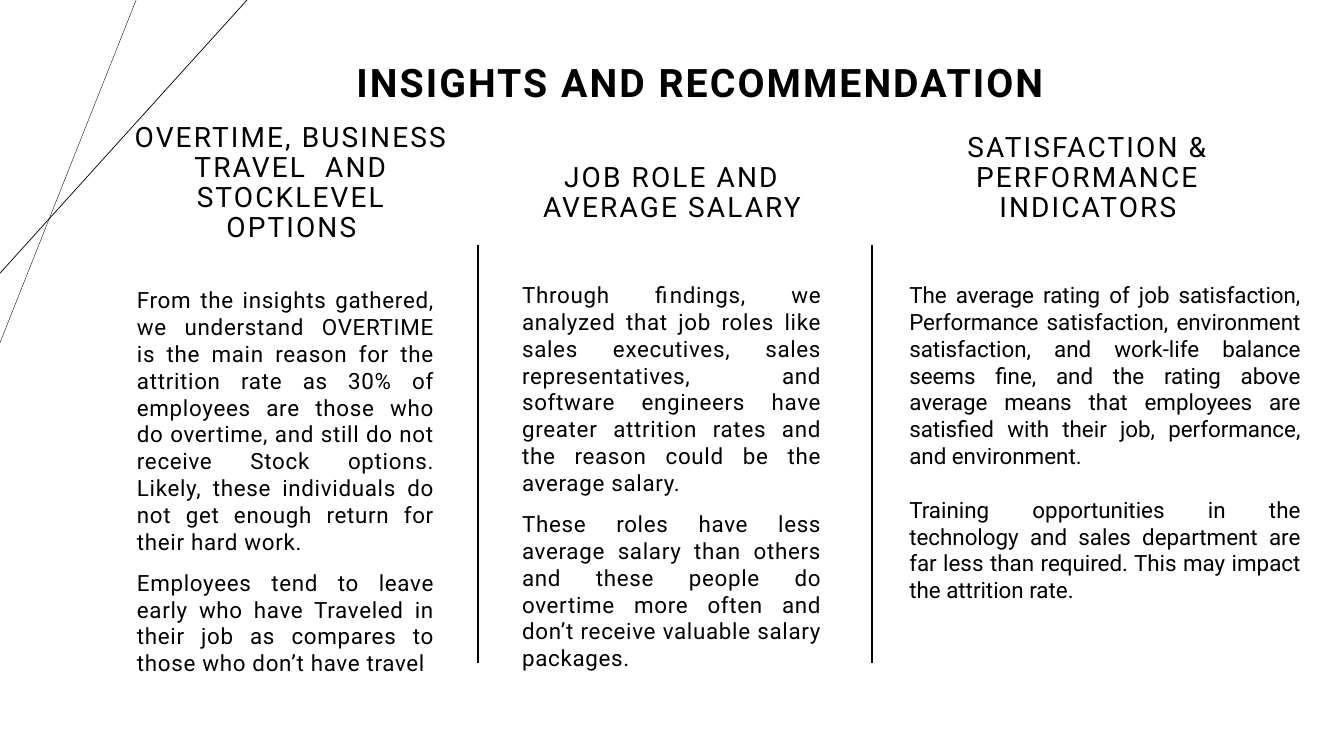
"""Build the insights and recommendation slide."""
from lxml import etree
from pptx import Presentation
from pptx.dml.color import RGBColor
from pptx.enum.shapes import MSO_CONNECTOR
from pptx.enum.text import MSO_ANCHOR, MSO_AUTO_SIZE, PP_ALIGN
from pptx.oxml.ns import qn
from pptx.util import Inches, Pt

BLACK = RGBColor(0, 0, 0)
WHITE = RGBColor(255, 255, 255)
FONT = "Roboto"
STRAIGHT = MSO_CONNECTOR.STRAIGHT
TOP, MIDDLE, BOTTOM = MSO_ANCHOR.TOP, MSO_ANCHOR.MIDDLE, MSO_ANCHOR.BOTTOM
CENTER, JUSTIFY = PP_ALIGN.CENTER, PP_ALIGN.JUSTIFY
NO_FIT = MSO_AUTO_SIZE.NONE

deck = Presentation()
deck.slide_width = Inches(13.33)
deck.slide_height = Inches(7.5)
slide = deck.slides.add_slide(deck.slide_layouts[5])
slide.background.fill.solid()
slide.background.fill.fore_color.rgb = WHITE


def write(box, place, texts, size, anchor, align, leading, gap, track, bold=False):
    box.left, box.top, box.width, box.height = [Inches(n) for n in place]
    frame = box.text_frame
    frame.word_wrap = True
    frame.auto_size = NO_FIT
    frame.vertical_anchor = anchor
    for i, text in enumerate(texts):
        para = frame.add_paragraph() if i else frame.paragraphs[0]
        para.alignment = align
        para.line_spacing = leading
        para.space_before = Pt(gap if i else 0)
        run = para.add_run()
        run.text = text
        run.font.name = FONT
        run.font.size = Pt(size)
        run.font.bold = bold
        run.font.color.rgb = BLACK
        run.font._element.set("spc", str(track))


def add_text():
    return slide.shapes.add_textbox(0, 0, 0, 0)


LINES = [
    (1.35, 0, 0, 3.4, 0.25),
    (2.45, 0, 0, 2.71, 0.5),
    (4.74, 2.43, 4.74, 6.58, 1.5),
    (8.65, 2.43, 8.65, 6.58, 1.5),
]
for *ends, weight in LINES:
    line = slide.shapes.add_connector(STRAIGHT, *[Inches(n) for n in ends])
    line.line.color.rgb = BLACK
    line.line.width = Pt(weight)
    etree.SubElement(line._element.spPr, qn("a:effectLst"))

write(slide.shapes.title, (2.34, 0.12, 9.21, 1.45), ["INSIGHTS AND RECOMMENDATION"],
      28, MIDDLE, CENTER, 0.9, 0, 150, True)

COLUMNS = [
    ("OVERTIME, BUSINESS TRAVEL  AND STOCKLEVEL OPTIONS", (1.2, 1.57, 3.38, 0.9),
     (1.26, 2.79, 3.15, 4.16), 10, 50, [
        "From the insights gathered, we understand OVERTIME is the main reason for "
        "the attrition rate as 30% of employees are those who do overtime, and still "
        "do not receive Stock options. Likely, these individuals do not get enough "
        "return for their hard work.",
        "Employees tend to leave early who have Traveled in their job as compares to "
        "those who don’t have travel"]),
    ("JOB ROLE AND AVERAGE SALARY", (5.08, 1.52, 3.17, 0.75),
     (5.08, 2.74, 3.17, 4.16), 10, 50, [
        "Through findings, we analyzed that job roles like sales executives, sales "
        "representatives, and software engineers have greater attrition rates and "
        "the reason could be the average salary.",
        "These roles have less average salary than others and these people do "
        "overtime more often and don’t receive valuable salary packages."]),
    ("SATISFACTION & PERFORMANCE INDICATORS", (8.75, 1.52, 4.08, 0.75),
     (8.92, 2.74, 4.08, 3.33), 19, 0, [
        "The average rating of job satisfaction, Performance satisfaction, "
        "environment satisfaction, and work-life balance seems fine, and the rating "
        "above average means that employees are satisfied with their job, "
        "performance, and environment.",
        "Training opportunities in the technology and sales department are far less "
        "than required. This may impact the attrition rate."]),
]
for head, spot, place, gap, track, texts in COLUMNS:
    write(add_text(), spot, [head], 20, BOTTOM, CENTER, 0.9, 0, 150)
    write(add_text(), place, texts, 16, TOP, JUSTIFY, 1.0, gap, track)

deck.save("out.pptx")
